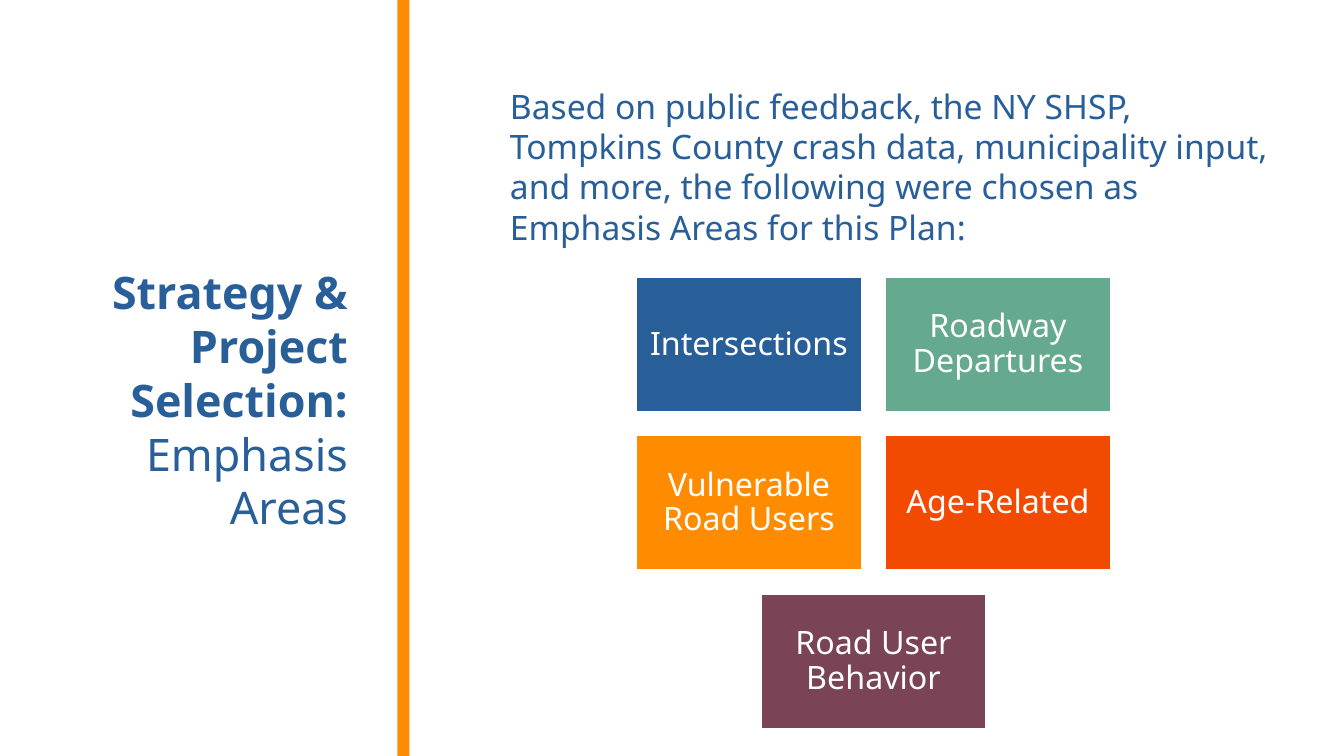
from pptx import Presentation
from pptx.dml.color import RGBColor
from pptx.enum.shapes import MSO_SHAPE as Kind
from pptx.enum.text import MSO_ANCHOR as Anchor, MSO_AUTO_SIZE as Fit, PP_ALIGN as Align
from pptx.util import Inches, Pt

BLUE = RGBColor(0x29, 0x5F, 0x99)
GREEN = RGBColor(0x65, 0xA9, 0x8F)
ORANGE = RGBColor(0xFF, 0x8C, 0x00)
RED = RGBColor(0xF2, 0x4A, 0x00)
PLUM = RGBColor(0x7A, 0x44, 0x56)
WHITE = RGBColor(0xFF, 0xFF, 0xFF)


class Page:
    font = "Noto Sans"

    def __init__(self, slide):
        self.slide = slide

    def label(self, frame, runs, size, color, frame_set, para_set):
        """Fill a frame with one paragraph of (text, bold) runs."""
        frame.word_wrap = True
        for key, value in frame_set.items():
            setattr(frame, key, value)
        para = frame.paragraphs[0]
        for key, value in para_set.items():
            setattr(para, key, value)
        for text, bold in runs:
            run = para.add_run()
            run.text = text
            style = {"name": self.font, "size": Pt(size), "bold": bold}
            for key, value in style.items():
                setattr(run.font, key, value)
            run.font.color.rgb = color

    def text(self, area, runs, size, **para_set):
        box = self.slide.shapes.add_textbox(*map(Inches, area))
        grow = {"auto_size": Fit.SHAPE_TO_FIT_TEXT}
        self.label(box.text_frame, runs, size, BLUE, grow, para_set)

    def rect(self, area, fill):
        shape = self.slide.shapes.add_shape(Kind.RECTANGLE, *map(Inches, area))
        shape.shadow.inherit = False
        shape.fill.solid()
        shape.fill.fore_color.rgb = fill
        shape.line.fill.background()
        return shape

    def tile(self, area, name, fill):
        shape = self.rect(area, fill)
        shape.line.color.rgb = WHITE
        shape.line.width = Pt(1.5)
        sides = ("left", "top", "right", "bottom")
        inset = {f"margin_{side}": Inches(0.1) for side in sides}
        inset["vertical_anchor"] = Anchor.MIDDLE
        para_set = {"alignment": Align.CENTER, "line_spacing": 0.9}
        self.label(shape.text_frame, [(name, False)], 23, WHITE, inset, para_set)


def main():
    deck = Presentation()
    deck.slide_width, deck.slide_height = Inches(13.33), Inches(7.5)
    page = Page(deck.slides.add_slide(deck.slide_layouts[6]))

    # Title and divider
    title = [("Strategy & Project Selection: ", True), ("Emphasis Areas", False)]
    page.text((0.32, 2.58, 3.23, 2.79), title, 32, alignment=Align.RIGHT)
    page.rect((3.94, 0, 0.12, 7.5), ORANGE)

    # Introduction
    intro = ("Based on public feedback, the NY SHSP, Tompkins County crash data, "
             "municipality input, and more, the following were chosen as "
             "Emphasis Areas for this Plan:")
    page.text((4.96, 0.8, 7.86, 1.72), [(intro, False)], 24, space_after=Pt(6))

    # Emphasis areas: two columns, the last tile centred below
    left, top, wide, high, gap = 6.31, 2.75, 2.24, 1.34, 0.23
    tiles = [
        ("Intersections", BLUE, 0, 0),
        ("Roadway Departures", GREEN, 1, 0),
        ("Vulnerable Road Users", ORANGE, 0, 1),
        ("Age-Related", RED, 1, 1),
        ("Road User Behavior", PLUM, 0.5, 2),
    ]
    for name, fill, col, row in tiles:
        x = left + col * (wide + gap)
        y = top + row * (high + gap)
        page.tile((x, y, wide, high), name, fill)

    deck.save("out.pptx")


if __name__ == "__main__":
    main()
